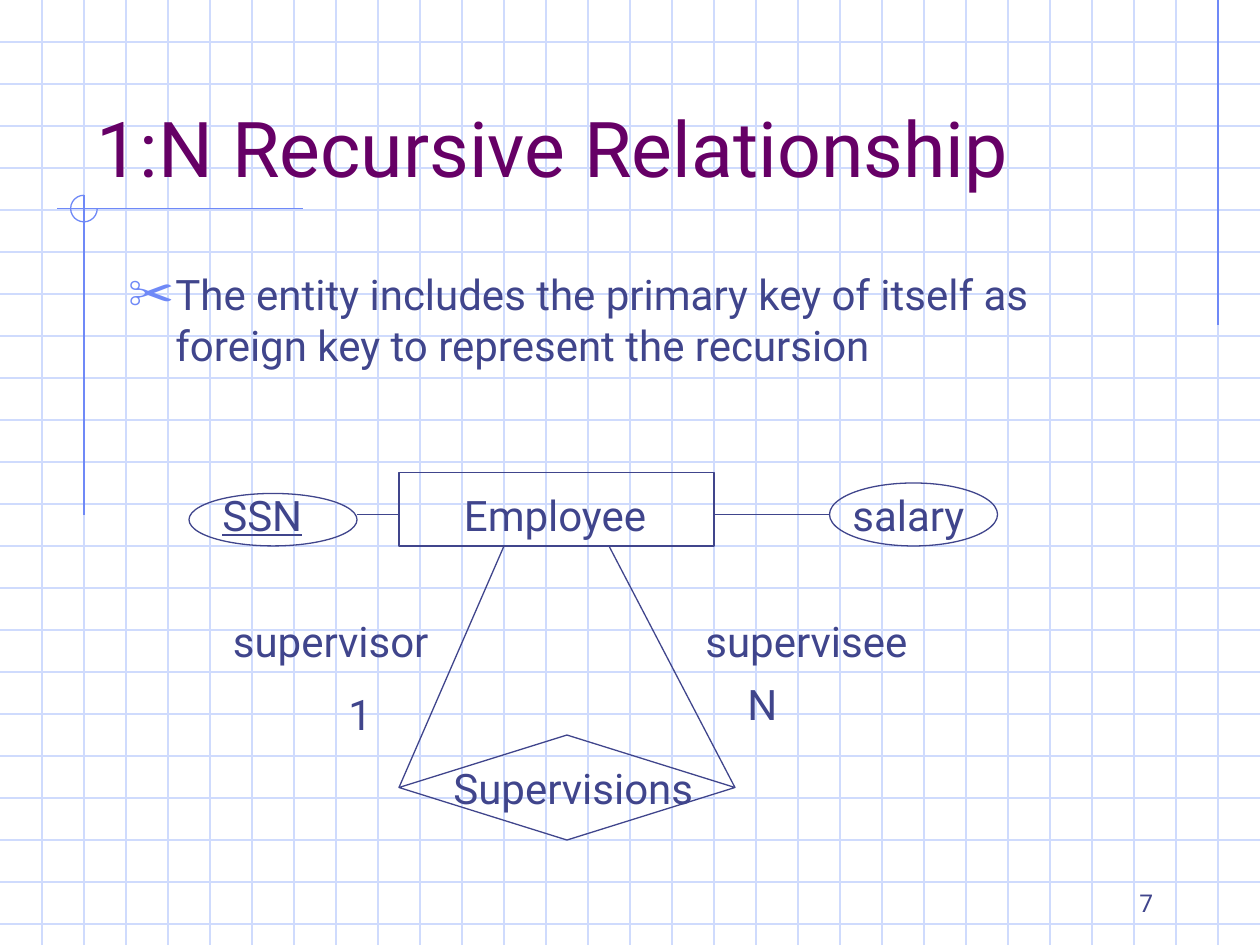
from dataclasses import dataclass

from lxml.etree import SubElement as Sub
from pptx import Presentation
from pptx.dml.color import RGBColor as Color
from pptx.enum.shapes import MSO_CONNECTOR as Conn, MSO_SHAPE as Form
from pptx.enum.text import MSO_ANCHOR as Anchor, MSO_AUTO_SIZE as Fit, PP_ALIGN as Align
from pptx.oxml.ns import qn
from pptx.util import Pt


@dataclass(frozen=True)
class Theme:
    font: str = "Roboto"
    ink: str = "40458C"
    head: str = "660066"
    trim: str = "6F89F7"
    grid: str = "CFDBFD"
    big: float = 44
    mid: float = 24
    small: float = 14
    line: float = 0.75


@dataclass(frozen=True)
class Box:
    left: float
    top: float
    width: float
    height: float


@dataclass(frozen=True)
class Node:
    form: Form
    box: Box


@dataclass(frozen=True)
class Label:
    text: str
    box: Box
    under: bool = False


@dataclass(frozen=True)
class Link:
    x1: float
    y1: float
    x2: float
    y2: float


LOOK = Theme()
WIDE, HIGH, STEP = 720, 540, 24

GRID = [Link(0, y, WIDE, y) for y in range(STEP, HIGH, STEP)]
GRID += [Link(x, 0, x, HIGH) for x in range(STEP, WIDE, STEP)]
TRIM = [Link(696, 0, 696, 186), Link(173, 119.2, 32.5, 119.2), Link(48, 111.6, 48, 294.5)]
RING = Box(40.4, 111.6, 15.2, 15.2)

NODES = [
    Node(Form.RECTANGLE, Box(228, 270, 180, 42)),
    Node(Form.DIAMOND, Box(228, 420, 192, 60)),
    Node(Form.OVAL, Box(108, 282, 96, 30)),
    Node(Form.OVAL, Box(474, 276, 96, 36)),
]
LINKS = [
    Link(288, 312, 228, 450),
    Link(348, 312, 420, 450),
    Link(204, 294, 228, 294),
    Link(408, 294, 474, 294),
]
LABELS = [
    Label("Employee", Box(258, 276, 126, 36)),
    Label("Supervisions", Box(252, 432, 162, 36)),
    Label("1", Box(192, 390, 36, 36)),
    Label("N", Box(420, 384, 36, 36)),
    Label("supervisor", Box(126, 348, 132, 65)),
    Label("supervisee", Box(396, 348, 132, 65)),
    Label("SSN", Box(120, 276, 72, 36), under=True),
    Label("salary", Box(480, 276, 90, 36)),
]


def area(box: Box) -> tuple:
    return Pt(box.left), Pt(box.top), Pt(box.width), Pt(box.height)


def place(shape, box: Box) -> None:
    shape.left, shape.top, shape.width, shape.height = area(box)


def write(shape, text: str, *, size: float = LOOK.mid, tint: str = LOOK.ink,
          align: Align = Align.LEFT, anchor: Anchor = Anchor.TOP,
          before: float = 0, under: bool = False, fit: Fit = Fit.NONE):
    frame = shape.text_frame
    frame.word_wrap = True
    frame.auto_size = fit
    frame.vertical_anchor = anchor
    para = frame.paragraphs[0]
    para.alignment = align
    para.space_before = Pt(before)
    run = para.add_run()
    run.text = text
    font = run.font
    font.name, font.size, font.underline = LOOK.font, Pt(size), under
    font.color.rgb = Color.from_string(tint)
    return para


def mark(para, sign: str, tint: str, dent: float) -> None:
    props = para._p.get_or_add_pPr()
    props.set("marL", str(Pt(dent)))
    props.set("indent", str(-Pt(dent)))
    Sub(Sub(props, qn("a:buClr")), qn("a:srgbClr"), val=tint)
    Sub(props, qn("a:buSzPct"), val="110000")
    Sub(props, qn("a:buChar"), char=sign)


def stroke(shape, tint: str) -> None:
    shape.line.color.rgb = Color.from_string(tint)
    shape.line.width = Pt(LOOK.line)


def draw(shapes, node: Node, tint: str = LOOK.ink):
    shape = shapes.add_shape(node.form, *area(node.box))
    shape.shadow.inherit = False
    shape.fill.background()
    stroke(shape, tint)
    return shape


def join(shapes, link: Link, tint: str = LOOK.ink) -> None:
    line = shapes.add_connector(Conn.STRAIGHT, Pt(link.x1), Pt(link.y1), Pt(link.x2), Pt(link.y2))
    stroke(line, tint)
    Sub(line._element.spPr, qn("a:effectLst"))


def main() -> None:
    deck = Presentation()
    deck.slide_width, deck.slide_height = Pt(WIDE), Pt(HIGH)
    slide = deck.slides.add_slide(deck.slide_layouts[1])
    shapes = slide.shapes
    title, body = shapes.title, slide.placeholders[1]

    for link in GRID:
        join(shapes, link, LOOK.grid)
    for link in TRIM:
        join(shapes, link, LOOK.trim)
    ring = draw(shapes, Node(Form.ARC, RING), LOOK.trim)
    ring.adjustments[0], ring.adjustments[1] = 0, 162

    for holder in (title, body):
        shapes.element.append(holder.element)
    place(title, Box(48, 24, 612, 90))
    write(title, "1:N Recursive Relationship", size=LOOK.big, tint=LOOK.head, anchor=Anchor.BOTTOM)
    place(body, Box(66, 150, 570, 96))
    para = write(body, "The entity includes the primary key of itself as foreign key "
                 "to represent the recursion", before=6)
    mark(para, "✂", LOOK.trim, 27)

    for node in NODES:
        draw(shapes, node)
    for link in LINKS:
        join(shapes, link)
    for label in LABELS:
        write(shapes.add_textbox(*area(label.box)), label.text, before=15,
              under=label.under, fit=Fit.SHAPE_TO_FIT_TEXT)
    page = shapes.add_textbox(*area(Box(516, 492, 150, 36)))
    write(page, "7", size=LOOK.small, align=Align.RIGHT, anchor=Anchor.BOTTOM)
    deck.save("out.pptx")


if __name__ == "__main__":
    main()
